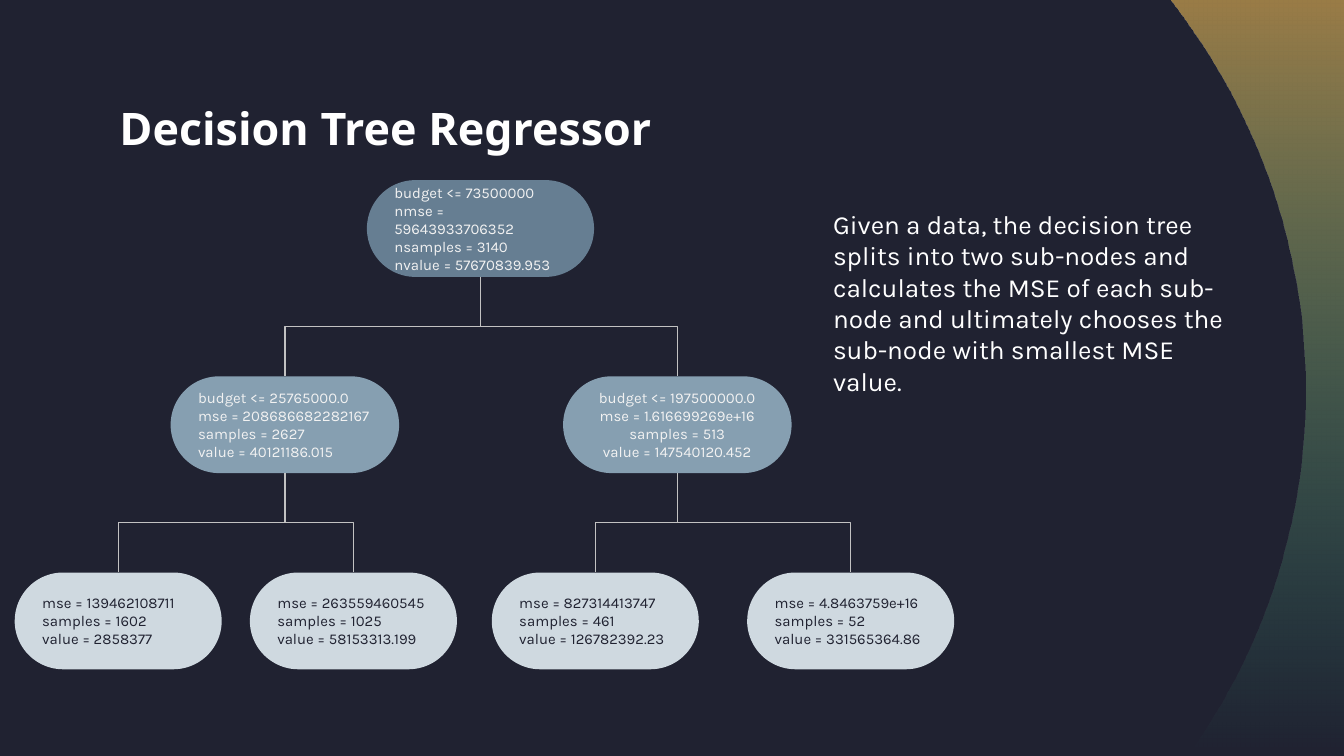
from lxml.etree import SubElement
from pptx import Presentation
from pptx.dml.color import RGBColor
from pptx.enum.shapes import MSO_CONNECTOR, MSO_SHAPE
from pptx.enum.text import MSO_ANCHOR, PP_ALIGN
from pptx.oxml.ns import qn
from pptx.util import Inches, Pt

COLORS = {
    "night": "202231", "white": "FFFFFF", "pale": "F2F2F2", "link": "C2C2C2",
    "root": "667E92", "branch": "869FB1", "leaf": "CFD9E0",
    "gold": "FEC659", "mint": "4AFFC3",
}


def color(name):
    return RGBColor.from_string(COLORS[name])


def write(shape, lines, size, font, ink, align=PP_ALIGN.LEFT, bold=False):
    frame = shape.text_frame
    frame.word_wrap = True
    frame.margin_left = frame.margin_right = Inches(0.1)
    frame.margin_top = frame.margin_bottom = Inches(0.1)
    for index, line in enumerate(lines):
        paragraph = frame.paragraphs[0] if index == 0 else frame.add_paragraph()
        paragraph.alignment = align
        run = paragraph.add_run()
        run.text = line
        run.font.size = Pt(size)
        run.font.name = font
        run.font.bold = bold
        run.font.color.rgb = color(ink)


prs = Presentation()
prs.slide_width = Inches(10)
prs.slide_height = Inches(10) * 9 // 16
slide = prs.slides.add_slide(prs.slide_layouts[6])
slide.background.fill.solid()
slide.background.fill.fore_color.rgb = color("night")

arcs = [
    [(8.71, 0), (9.33, 0.8), (9.71, 1.81), (9.71, 2.9)],
    [(9.71, 2.9), (9.71, 3.92), (9.39, 4.85), (8.84, 5.62)],
]
STEPS = 30
edge = []
for arc in arcs:
    for step in range(1, STEPS + 1):
        t = step / STEPS
        weights = [(1 - t) ** 3, 3 * t * (1 - t) ** 2, 3 * t ** 2 * (1 - t), t ** 3]
        edge.append(tuple(Inches(sum(w * point[axis] for w, point in zip(weights, arc)))
                          for axis in (0, 1)))
edge[-1] = (edge[-1][0], prs.slide_height)
edge += [(prs.slide_width, prs.slide_height), (prs.slide_width, 0)]
builder = slide.shapes.build_freeform(Inches(8.71), 0)
builder.add_line_segments(edge, close=True)
glow = builder.convert_to_shape()
glow.shadow.inherit = False
glow.line.fill.background()
glow.fill.gradient()
glow.fill.gradient_angle = 270
for stop, name, position in zip(glow.fill.gradient_stops, ("gold", "mint"), (0, 1)):
    stop.position = position
    stop.color.rgb = color(name)
for rgb, opacity in zip(glow._element.spPr.iter(qn("a:srgbClr")), (55, 0)):
    SubElement(rgb, qn("a:alpha")).set("val", str(opacity * 1000))

title = slide.shapes.add_textbox(Inches(0.79), Inches(0.65), Inches(7.92), Inches(0.63))
write(title, ["Decision Tree Regressor"], 24, "Noto Sans", "white", bold=True)

summary = slide.shapes.add_textbox(Inches(6.1), Inches(1.45), Inches(3.23), Inches(1.49))
write(summary, ["Given a data, the decision tree splits into two sub-nodes and calculates "
                "the MSE of each sub-node and ultimately chooses the sub-node with "
                "smallest MSE value."], 14, "Karla", "white")

LEVELS = {
    "root": (1.34, 1.69, "pale"),
    "branch": (2.8, 1.7, "pale"),
    "leaf": (4.26, 1.54, "night"),
}
NODES = [
    ("top", None, "root", 2.73, PP_ALIGN.LEFT,
     ["budget <= 73500000", "nmse = 59643933706352", "nsamples = 3140",
      "nvalue = 57670839.953"]),
    ("right", "top", "branch", 4.19, PP_ALIGN.CENTER,
     ["budget <= 197500000.0", "mse = 1.616699269e+16", "samples = 513",
      "value = 147540120.452"]),
    ("left", "top", "branch", 1.27, PP_ALIGN.LEFT,
     ["budget <= 25765000.0", "mse = 208686682282167", "samples = 2627",
      "value = 40121186.015"]),
    ("left 1", "left", "leaf", 0.11, PP_ALIGN.LEFT,
     ["mse = 139462108711", "samples = 1602", "value = 2858377"]),
    ("left 2", "left", "leaf", 1.86, PP_ALIGN.LEFT,
     ["mse = 263559460545", "samples = 1025", "value = 58153313.199"]),
    ("right 1", "right", "leaf", 3.66, PP_ALIGN.LEFT,
     ["mse = 827314413747", "samples = 461", "value = 126782392.23"]),
    ("right 2", "right", "leaf", 5.56, PP_ALIGN.LEFT,
     ["mse = 4.8463759e+16", "samples = 52", "value = 331565364.86"]),
]
tree = {}
for key, parent_key, level, left, align, lines in NODES:
    top, width, ink = LEVELS[level]
    node = slide.shapes.add_shape(MSO_SHAPE.ROUNDED_RECTANGLE, Inches(left), Inches(top),
                                  Inches(width), Inches(0.72))
    node.adjustments[0] = 0.5
    node.shadow.inherit = False
    node.fill.solid()
    node.fill.fore_color.rgb = color(level)
    node.line.fill.background()
    node.text_frame.vertical_anchor = MSO_ANCHOR.MIDDLE
    write(node, lines, 8, "Karla", ink, align)
    tree[key] = node

for key, parent_key, *_ in NODES:
    if parent_key is None:
        continue
    parent, child = tree[parent_key], tree[key]
    start_x, end_x = (node.left + node.width // 2 for node in (parent, child))
    start_y, end_y = parent.top + parent.height, child.top
    drop, spread = end_y - start_y, abs(end_x - start_x)
    branch = slide.shapes.add_connector(MSO_CONNECTOR.ELBOW, start_x, start_y, end_x, end_y)
    branch.begin_connect(parent, 2)
    branch.end_connect(child, 0)
    branch.left = (start_x + end_x - drop) // 2
    branch.top = (start_y + end_y - spread) // 2
    branch.width, branch.height = drop, spread
    xfrm = branch._element.spPr.get_or_add_xfrm()
    xfrm.flipH = end_x > start_x
    xfrm.rot = 270 if end_x > start_x else 90
    branch.line.color.rgb = color("link")
    branch.line.width = Pt(0.75)
    SubElement(branch._element.spPr, qn("a:effectLst"))

prs.save("out.pptx")
